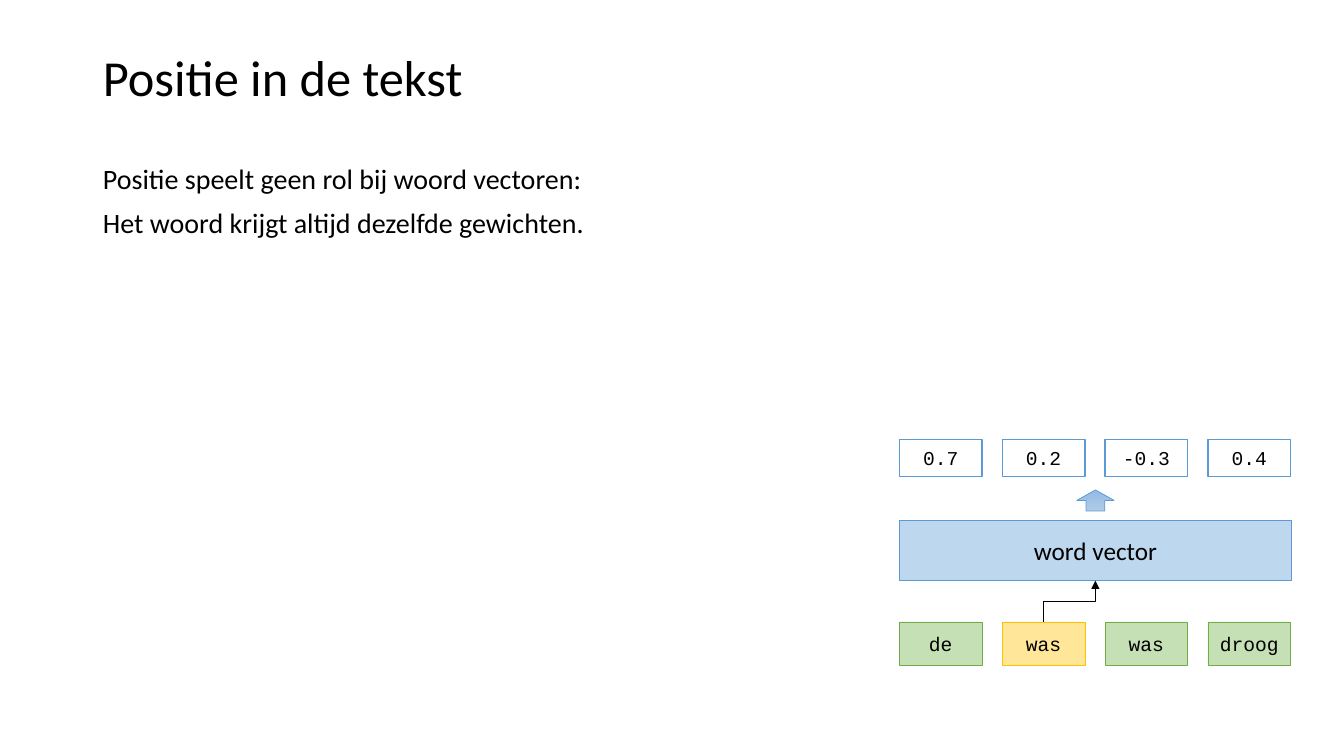
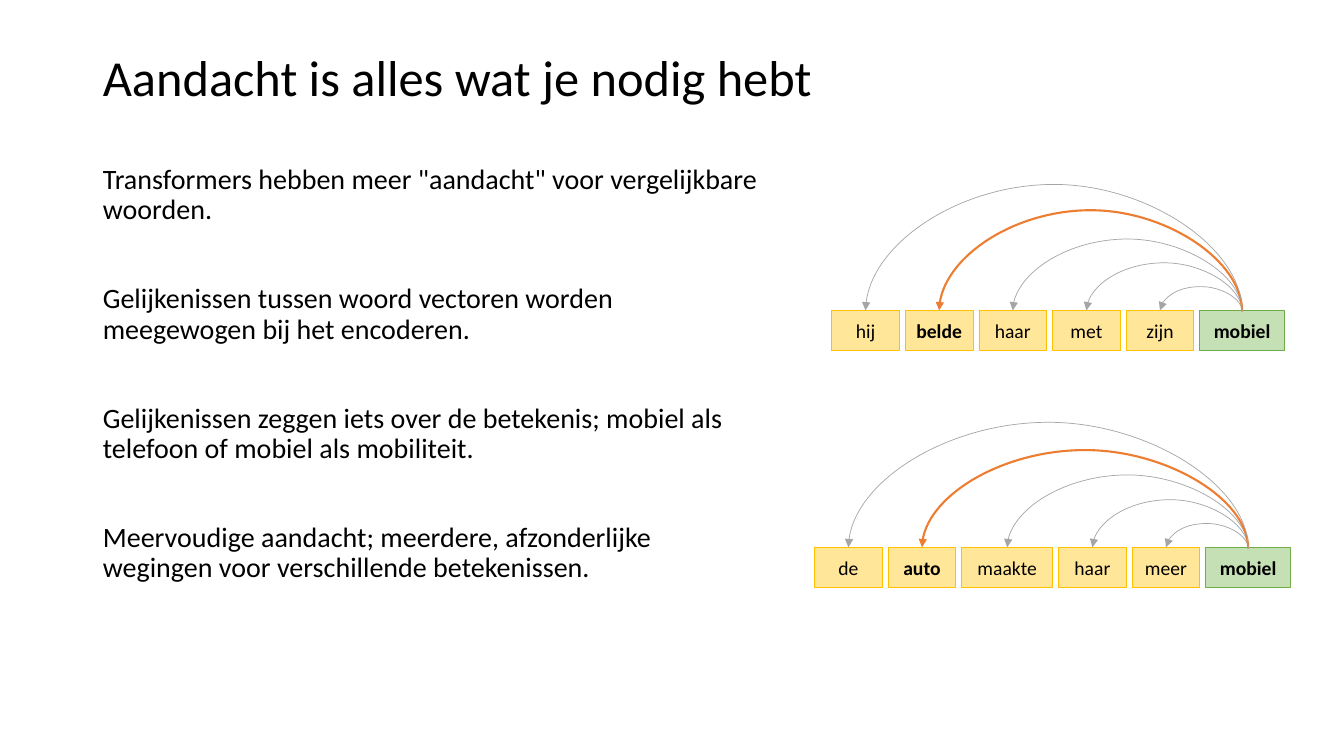
from itertools import accumulate

from lxml import etree
from pptx import Presentation
from pptx.dml.color import RGBColor
from pptx.enum import shapes as shp, text as txt
from pptx.oxml import ns
from pptx.util import Inches, Pt

BLACK = RGBColor(0x00, 0x00, 0x00)
WHITE = RGBColor(0xFF, 0xFF, 0xFF)
GREEN, GREEN_EDGE = RGBColor(0xC5, 0xE0, 0xB4), RGBColor(0x70, 0xAD, 0x47)
YELLOW, YELLOW_EDGE = RGBColor(0xFF, 0xE6, 0x99), RGBColor(0xFF, 0xC0, 0x00)
BLUE, BLUE_EDGE = RGBColor(0xBD, 0xD7, 0xEE), RGBColor(0x5B, 0x9B, 0xD5)
ARROW_TOP, ARROW_BOTTOM = RGBColor(0x93, 0xB9, 0xE4), RGBColor(0xB1, 0xCB, 0xE9)
GREY, ORANGE = RGBColor(0xA5, 0xA5, 0xA5), RGBColor(0xED, 0x7D, 0x31)

SANS, MONO = "Calibri", "Courier New"
GREEN_BOX, YELLOW_BOX = (GREEN, GREEN_EDGE), (YELLOW, YELLOW_EDGE)
BLUE_BOX, VALUE_BOX = (BLUE, BLUE_EDGE), (WHITE, BLUE_EDGE)


def child(parent, tag, **attributes):
    """Append a DrawingML element to parent and return it."""
    return etree.SubElement(parent, ns.qn(tag), attributes)


def place(item, left, top, width, height):
    """Set position and size in inches."""
    item.left, item.top = Inches(left), Inches(top)
    item.width, item.height = Inches(width), Inches(height)


def write(paragraph, content, size, font=SANS, bold=False, color=BLACK,
          align=txt.PP_ALIGN.LEFT, line_spacing=1.0, before=0):
    """Write content into a paragraph with the given format."""
    paragraph.alignment = align
    paragraph.line_spacing = line_spacing
    paragraph.space_before = Pt(before)
    run = paragraph.add_run()
    run.text = content
    run.font.size, run.font.name = Pt(size), font
    run.font.bold, run.font.color.rgb = bold, color


def add_content_slide(deck, heading, statements, body_width, gap):
    """Add a slide with a heading and unbulleted statements."""
    slide = deck.slides.add_slide(deck.slide_layouts[1])
    title, body = slide.placeholders
    place(title, 0.92, 0.4, 11.5, 0.79)
    place(body, 0.92, 1.59, body_width, 5.16)
    for holder, anchor in ((title, txt.MSO_ANCHOR.MIDDLE), (body, txt.MSO_ANCHOR.TOP)):
        holder.text_frame.auto_size = txt.MSO_AUTO_SIZE.NONE
        holder.text_frame.vertical_anchor = anchor
    write(title.text_frame.paragraphs[0], heading, 36, line_spacing=0.9)
    for index, statement in enumerate(statements):
        paragraph = body.text_frame.add_paragraph() if index else body.text_frame.paragraphs[0]
        properties = paragraph._p.get_or_add_pPr()
        properties.set("marL", "0")
        properties.set("indent", "0")
        child(properties, "a:buNone")
        write(paragraph, statement, 20, line_spacing=0.9, before=gap if index else 0)
    return slide


def add_box(parent, label, bounds, colors, edge=0.5, **text_format):
    """Add a rectangle with a centred label."""
    box = parent.shapes.add_shape(shp.MSO_SHAPE.RECTANGLE, *map(Inches, bounds))
    box.shadow.inherit = False
    box.fill.solid()
    box.fill.fore_color.rgb, box.line.color.rgb = colors
    box.line.width = Pt(edge)
    frame = box.text_frame
    frame.word_wrap = True
    frame.margin_left = frame.margin_right = 0
    frame.vertical_anchor = txt.MSO_ANCHOR.MIDDLE
    write(frame.paragraphs[0], label, align=txt.PP_ALIGN.CENTER, **text_format)
    return box


def add_vector_row(slide, labels, top, height, colors, edge=0.5):
    """Add an evenly spaced row of monospaced boxes."""
    return [add_box(slide, label, (8.92 + 1.02 * column, top, 0.82, height), fill,
                    edge, size=14, font=MONO)
            for column, (label, fill) in enumerate(zip(labels, colors))]


def add_rising_arrow(parent, kind, source, target, end_site, ends, rise, color, width):
    """Add an arrow that leaves source upwards, turns at rise and ends at target."""
    (start_x, start_y), (end_x, end_y) = ends
    arrow = parent.shapes.add_connector(kind, 0, 0, 0, 0)
    arrow.begin_connect(source, 0)
    arrow.end_connect(target, end_site)
    center_x, center_y = (start_x + end_x) // 2, (start_y + end_y) // 2
    climb, run = start_y - end_y, end_x - start_x
    arrow.begin_x, arrow.begin_y = center_x - climb // 2, center_y - run // 2
    arrow.end_x, arrow.end_y = center_x + climb // 2, center_y + run // 2
    properties = arrow._element.spPr
    properties.find(ns.qn("a:xfrm")).set("rot", "16200000")
    guides = properties.find(ns.qn("a:prstGeom")).get_or_add_avLst()
    child(guides, "a:gd", name="adj1", fmla=f"val {round(rise / climb * 100000)}")
    arrow.line.color.rgb, arrow.line.width = color, Pt(width)
    child(arrow.line._get_or_add_ln(), "a:tailEnd", type="triangle")
    child(properties, "a:effectLst")


def add_up_arrow(slide):
    """Add the gradient block arrow from the model to its values."""
    arrow = slide.shapes.add_shape(shp.MSO_SHAPE.UP_ARROW, *map(Inches, (10.68, 4.86, 0.37, 0.21)))
    arrow.shadow.inherit = False
    arrow.fill.gradient()
    arrow.fill.gradient_angle = 270
    for stop, color in zip(arrow.fill.gradient_stops, (ARROW_TOP, ARROW_BOTTOM)):
        stop.color.rgb = color
    arrow.line.color.rgb, arrow.line.width = BLUE_EDGE, Pt(0.5)


def add_attention(slide, words, left, top, widths, rises, focus):
    """Add a sentence whose last word points at each earlier word."""
    sentence = slide.shapes.add_group_shape()
    lefts = accumulate([width + 0.06 for width in widths[:-1]], initial=left)
    last = len(words) - 1
    boxes = [add_box(sentence, word, (x, top, width, 0.4),
                     GREEN_BOX if index == last else YELLOW_BOX,
                     size=14, bold=index in (focus, last))
             for index, (word, x, width) in enumerate(zip(words, lefts, widths))]
    source = boxes[-1]
    start = source.left + source.width // 2, source.top + Inches(0.01)
    for index, rise in reversed(list(enumerate(rises))):
        target = boxes[index]
        end = target.left + target.width // 2, target.top
        color, width = (ORANGE, 1.5) if index == focus else (GREY, 0.5)
        add_rising_arrow(sentence, shp.MSO_CONNECTOR.CURVE, source, target, 0,
                         (start, end), Inches(rise), color, width)


def add_position_slide(deck):
    """Add the slide on word vectors and position."""
    slide = add_content_slide(deck, "Positie in de tekst", [
        "Positie speelt geen rol bij woord vectoren:",
        "Het woord krijgt altijd dezelfde gewichten."], 7.32, 10)
    words = add_vector_row(slide, ["de", "was", "was", "droog"], 6.17, 0.43,
                           [GREEN_BOX, YELLOW_BOX, GREEN_BOX, GREEN_BOX])
    model = add_box(slide, "word vector", (8.92, 5.16, 3.89, 0.6), BLUE_BOX, size=18)
    chosen = words[1]
    ends = ((chosen.left + chosen.width // 2, chosen.top),
            (model.left + model.width // 2, model.top + model.height))
    add_rising_arrow(slide, shp.MSO_CONNECTOR.ELBOW, chosen, model, 2, ends,
                     (ends[0][1] - ends[1][1]) / 2, BLACK, 1)
    add_vector_row(slide, ["0.7", "0.2", "-0.3", "0.4"], 4.36, 0.37, [VALUE_BOX] * 4, 1)
    add_up_arrow(slide)


def add_attention_slide(deck):
    """Add the slide on attention between similar words."""
    slide = add_content_slide(deck, "Aandacht is alles wat je nodig hebt", [
        "Transformers hebben meer \"aandacht\" voor vergelijkbare woorden.",
        "Gelijkenissen tussen woord vectoren worden meegewogen bij het encoderen.",
        "Gelijkenissen zeggen iets over de betekenis; mobiel als telefoon of mobiel als mobiliteit.",
        "Meervoudige aandacht; meerdere, afzonderlijke wegingen voor verschillende betekenissen.",
    ], 6.75, 42)
    add_attention(slide, ["hij", "belde", "haar", "met", "zijn", "mobiel"], 8.25, 3.08,
                  [0.67] * 5 + [0.84], [1.28, 1.02, 0.73, 0.49, 0.25], focus=1)
    add_attention(slide, ["de", "auto", "maakte", "haar", "meer", "mobiel"], 8.08, 5.43,
                  [0.67, 0.67, 0.9, 0.67, 0.67, 0.84], [1.27, 0.99, 0.74, 0.49, 0.25], focus=1)


def main():
    """Build and save the deck."""
    deck = Presentation()
    deck.slide_width, deck.slide_height = Inches(13.33), Inches(7.5)
    add_position_slide(deck)
    add_attention_slide(deck)
    deck.save("out.pptx")


if __name__ == "__main__":
    main()
